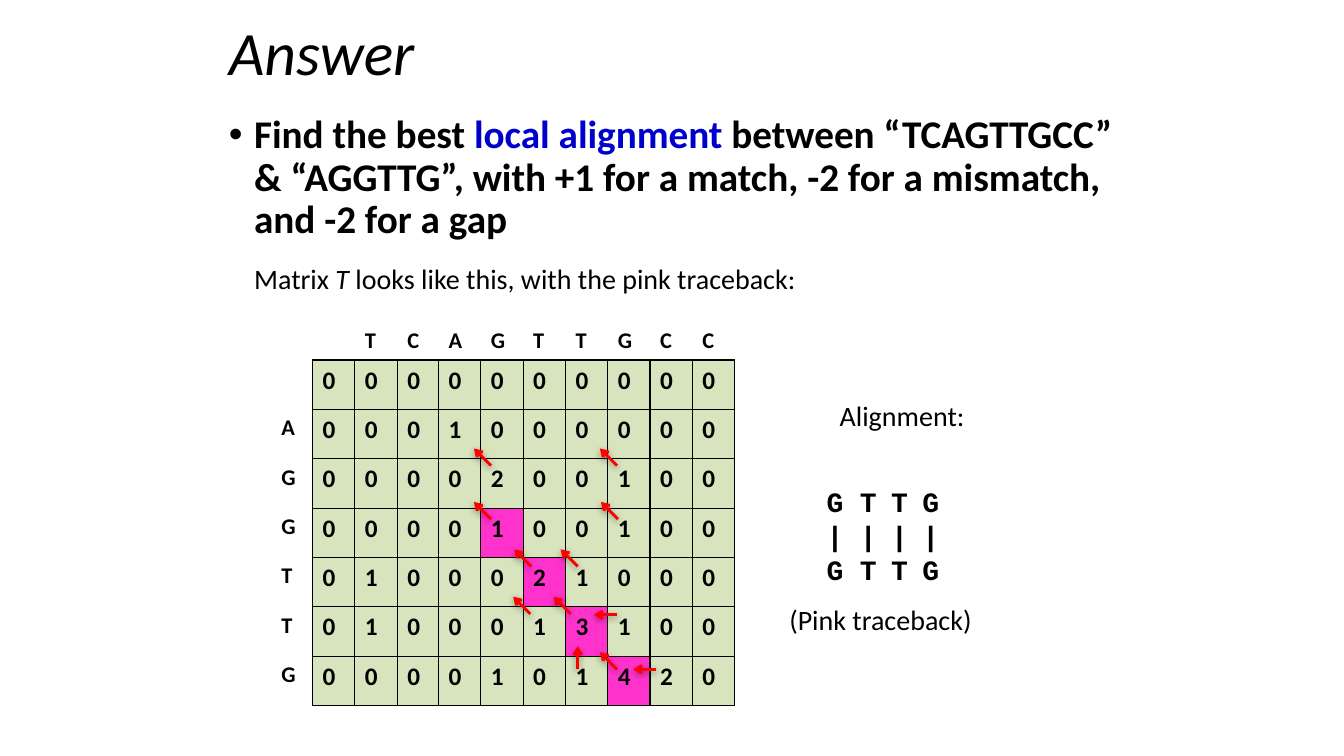
from lxml import etree
from pptx import Presentation
from pptx.dml.color import RGBColor
from pptx.enum.shapes import MSO_CONNECTOR
from pptx.enum.text import MSO_ANCHOR, MSO_AUTO_SIZE, PP_ALIGN
from pptx.oxml import parse_xml
from pptx.oxml.ns import nsdecls, qn
from pptx.util import Inches, Pt

COLORS = {
    "black": "000000",
    "white": "FFFFFF",
    "blue": "0000CC",
    "green": "D7E4BD",
    "pink": "FF33CC",
    "red": "FF0000",
}


def add_span(para, text, color="black", **formats):
    span = para.add_run()
    span.text = text
    span.font.color.rgb = RGBColor.from_string(COLORS[color])
    for key, value in ({"name": "Calibri", "size": Pt(20)} | formats).items():
        setattr(span.font, key, value)


def add_label(page, left, top, width, height, lines, **formats):
    box = page.shapes.add_textbox(*map(Inches, (left, top, width, height)))
    box.text_frame.word_wrap = False
    for i, line in enumerate(lines):
        para = box.text_frame.paragraphs[0] if i == 0 else box.text_frame.add_paragraph()
        para.line_spacing = Pt(24.4)
        add_span(para, line, **formats)


deck = Presentation()
deck.slide_width, deck.slide_height = Inches(13.33), Inches(7.5)
page = deck.slides.add_slide(deck.slide_layouts[1])

title, body = page.placeholders
for holder, top, height, anchor in (
    (title, 0.08, 0.94, MSO_ANCHOR.MIDDLE),
    (body, 1.09, 4.95, MSO_ANCHOR.TOP),
):
    holder.left, holder.top = Inches(2.17), Inches(top)
    holder.width, holder.height = Inches(9), Inches(height)
    holder.text_frame.auto_size = MSO_AUTO_SIZE.NONE
    holder.text_frame.vertical_anchor = anchor

heading = title.text_frame.paragraphs[0]
add_span(heading, "Answer", size=Pt(44), italic=True)
task = body.text_frame.paragraphs[0]
intro = body.text_frame.add_paragraph()
for para, before in ((heading, 0), (task, 0), (intro, 17)):
    para.alignment = PP_ALIGN.LEFT
    para.line_spacing = 0.9
    para.space_before = Pt(before)
for para, indent, bullet in (
    (task, -0.25, '<a:buChar %s char="•"/>'),
    (intro, 0, "<a:buNone %s/>"),
):
    props = para._p.get_or_add_pPr()
    props.set("marL", str(Inches(0.25)))
    props.set("indent", str(Inches(indent)))
    props.append(parse_xml(bullet % nsdecls("a")))

for text, color in (
    ("Find the best ", "black"),
    ("local alignment ", "blue"),
    ("between “TCAGTTGCC” & “AGGTTG”, with +1 for a match, -2 for a mismatch, and -2 for a gap", "black"),
):
    add_span(task, text, color, size=Pt(28), bold=True)
add_span(intro, "Matrix ")
add_span(intro, "T", italic=True)
add_span(intro, " looks like this, with the pink traceback:")

row_letters = ["", "A", "G", "G", "T", "T", "G"]
scores = [
    "0000000000",
    "0001000000",
    "0000200100",
    "0000100100",
    "0100021000",
    "0100013100",
    "0000101420",
]
matrix = [["", "", *"TCAGTTGCC"]]
matrix += [[letter, *row] for letter, row in zip(row_letters, scores)]
traceback = {(4, 5), (5, 6), (6, 7), (7, 8)}

frame = page.shapes.add_table(8, 11, Inches(2.69), Inches(3.2), Inches(4.6), Inches(3.83))
table = frame.table
table.first_row = table.horz_banding = False
for c, column in enumerate(table.columns):
    column.width = Inches(0.41 if c in (0, 3) else 0.42)
for r, row in enumerate(table.rows):
    row.height = Inches(0.37 if r == 0 else 0.49)
    for c, text in enumerate(matrix[r]):
        cell = table.cell(r, c)
        is_score = r > 0 and c > 0
        if text:
            add_span(cell.text_frame.paragraphs[0], text, size=Pt(18 if is_score else 16), bold=True)
        else:
            cell.margin_top = cell.margin_bottom = 0
        edges = {
            "lnL": is_score,
            "lnR": r > 0,
            "lnT": is_score,
            "lnB": c > 0,
        }
        props = cell._tc.get_or_add_tcPr()
        for tag, dark in edges.items():
            edge = etree.SubElement(props, qn(f"a:{tag}"), w=str(Pt(1)))
            fill = etree.SubElement(edge, qn("a:solidFill"))
            etree.SubElement(fill, qn("a:srgbClr"), val=COLORS["black" if dark else "white"])
        shade = "pink" if (r, c) in traceback else "green" if is_score else "white"
        cell.fill.solid()
        cell.fill.fore_color.rgb = RGBColor.from_string(COLORS[shade])

diagonal, leftward, upward = (-0.17, -0.17), (-0.23, 0), (0, -0.23)
arrows = [
    (4.87, 4.62, diagonal),
    (4.87, 5.15, diagonal),
    (6.13, 5.15, diagonal),
    (6.12, 4.62, diagonal),
    (5.73, 5.62, diagonal),
    (5.27, 5.62, diagonal),
    (5.26, 6.09, diagonal),
    (5.66, 6.09, diagonal),
    (6.12, 6.1, leftward),
    (5.73, 6.64, upward),
    (6.12, 6.64, diagonal),
    (6.51, 6.64, leftward),
]
shadow = (
    f'<a:effectLst {nsdecls("a")}><a:outerShdw blurRad="{Pt(5)}" dist="{Pt(1.6)}" '
    f'dir="5400000" rotWithShape="0"><a:srgbClr val="{COLORS["black"]}">'
    '<a:alpha val="38000"/></a:srgbClr></a:outerShdw></a:effectLst>'
)
for x, y, (dx, dy) in arrows:
    arrow = page.shapes.add_connector(
        MSO_CONNECTOR.STRAIGHT, Inches(x), Inches(y), Inches(x + dx), Inches(y + dy)
    )
    arrow.line.color.rgb = RGBColor.from_string(COLORS["red"])
    arrow.line.width = Pt(2)
    etree.SubElement(arrow.line._get_or_add_ln(), qn("a:tailEnd"), type="arrow")
    arrow._element.spPr.append(parse_xml(shadow))

add_label(page, 8.23, 3.9, 1.5, 0.44, ["Alignment:"])
for left, letter in zip((8.1, 8.43, 8.74, 9.05), "GTTG"):
    add_label(page, left, 4.75, 0.37, 1.45, [letter, "|", letter], name="Courier New", bold=True)
add_label(page, 7.73, 5.92, 2.03, 0.44, ["(Pink traceback)"])

deck.save("out.pptx")
